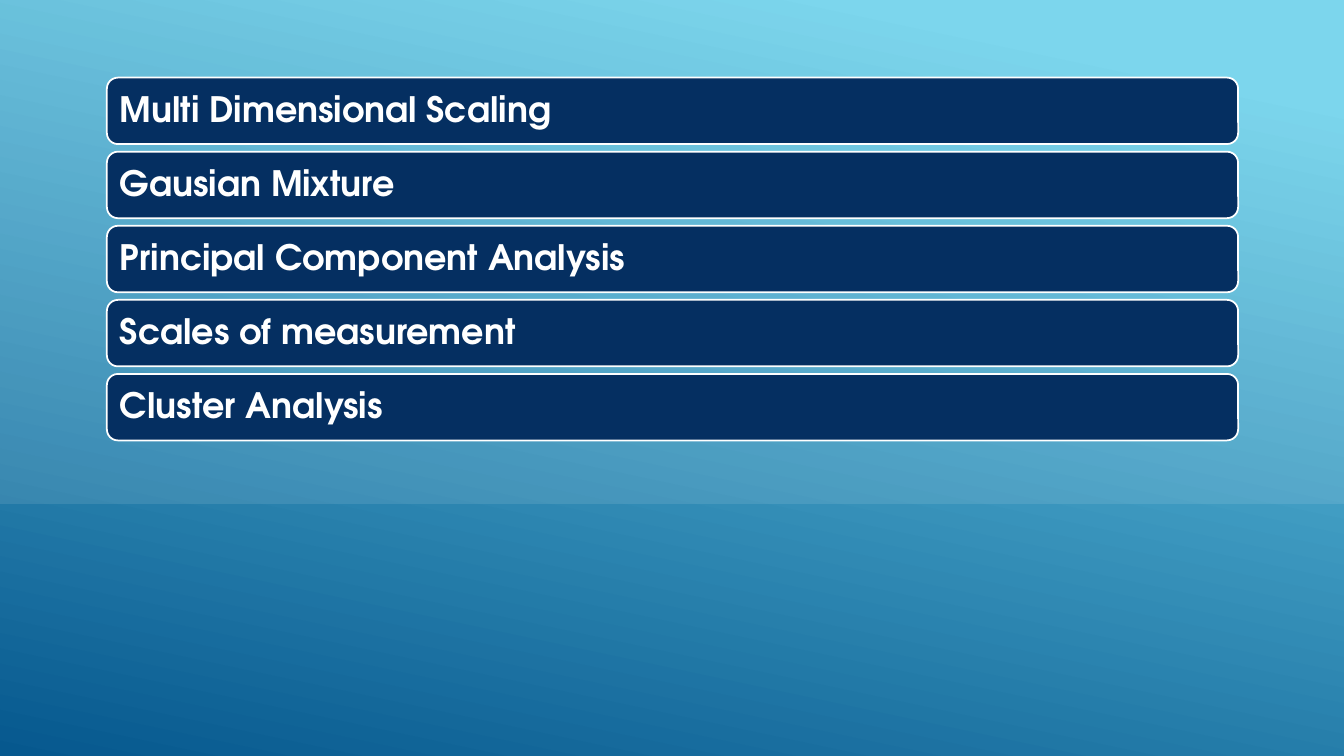
from dataclasses import dataclass

from lxml.etree import SubElement
from pptx import Presentation
from pptx.dml.color import RGBColor
from pptx.enum.shapes import MSO_SHAPE as Preset
from pptx.enum.text import MSO_ANCHOR as Anchor, PP_ALIGN as Align
from pptx.oxml.ns import qn
from pptx.shapes.autoshape import Shape
from pptx.slide import Slide
from pptx.util import Inches, Pt


@dataclass(frozen=True)
class Theme:
    sky: RGBColor = RGBColor(0x6E, 0xD2, 0xEB)
    sea: RGBColor = RGBColor(0x06, 0x58, 0x8E)
    navy: RGBColor = RGBColor(0x05, 0x2F, 0x61)
    white: RGBColor = RGBColor(0xFF, 0xFF, 0xFF)
    font: str = "TeX Gyre Adventor"
    topic_size: float = 25
    outline: float = 1.25


@dataclass(frozen=True)
class Rows:
    """Equal rows, in inches."""
    left: float = 1.06
    top: float = 0.77
    width: float = 11.22
    height: float = 0.66
    pitch: float = 0.735


@dataclass(frozen=True)
class Topic:
    row: int
    label: str


THEME = Theme()
ROWS = Rows()
WIDTH, HEIGHT = 13.33, 7.5
PANEL_SHARE = 2 / 3
LABELS = (
    "Multi Dimensional Scaling",
    "Gausian Mixture",
    "Principal Component Analysis",
    "Scales of measurement",
    "Cluster Analysis",
)


def add_block(page: Slide, preset: Preset, left: float, top: float,
              width: float, height: float) -> Shape:
    block = page.shapes.add_shape(
        preset, Inches(left), Inches(top), Inches(width), Inches(height))
    block.shadow.inherit = False
    block.line.fill.background()
    return block


def add_backdrop(page: Slide) -> None:
    # Gradient over the whole slide
    backdrop = add_block(page, Preset.RECTANGLE, 0, 0, WIDTH, HEIGHT)
    backdrop.fill.gradient()
    backdrop.fill.gradient_angle = 360 - 102
    stops = ((0.1, THEME.sky), (1.0, THEME.sea))
    for stop, (position, color) in zip(backdrop.fill.gradient_stops, stops):
        stop.position = position
        stop.color.rgb = color

    # Translucent upper panel
    panel = add_block(page, Preset.SNIP_2_DIAG_RECTANGLE,
                      0, 0, WIDTH, HEIGHT * PANEL_SHARE)
    panel.adjustments[0] = panel.adjustments[1] = 0
    panel.fill.solid()
    panel.fill.fore_color.rgb = THEME.white
    color = panel.fill._xPr.find(qn("a:solidFill")).find(qn("a:srgbClr"))
    SubElement(color, qn("a:alpha")).set("val", "10000")


def add_topic(page: Slide, topic: Topic) -> None:
    bar = add_block(page, Preset.ROUNDED_RECTANGLE, ROWS.left,
                    ROWS.top + topic.row * ROWS.pitch, ROWS.width, ROWS.height)
    bar.fill.solid()
    bar.fill.fore_color.rgb = THEME.navy
    bar.line.color.rgb = THEME.white
    bar.line.width = Pt(THEME.outline)

    frame = bar.text_frame
    frame.text = topic.label
    frame.word_wrap = True
    frame.vertical_anchor = Anchor.MIDDLE
    frame.margin_left = frame.margin_right = Inches(0.1)
    frame.margin_top = frame.margin_bottom = Inches(0.1)
    para = frame.paragraphs[0]
    para.alignment = Align.LEFT
    para.line_spacing = 0.9
    font = para.runs[0].font
    font.name = THEME.font
    font.size = Pt(THEME.topic_size)
    font.bold = True
    font.color.rgb = THEME.white


def main() -> None:
    deck = Presentation()
    deck.slide_width, deck.slide_height = Inches(WIDTH), Inches(HEIGHT)
    page = deck.slides.add_slide(deck.slide_layouts.get_by_name("Blank"))
    add_backdrop(page)
    # Stacked topic bars
    for row, label in enumerate(LABELS):
        add_topic(page, Topic(row, label))
    deck.save("out.pptx")


if __name__ == "__main__":
    main()
